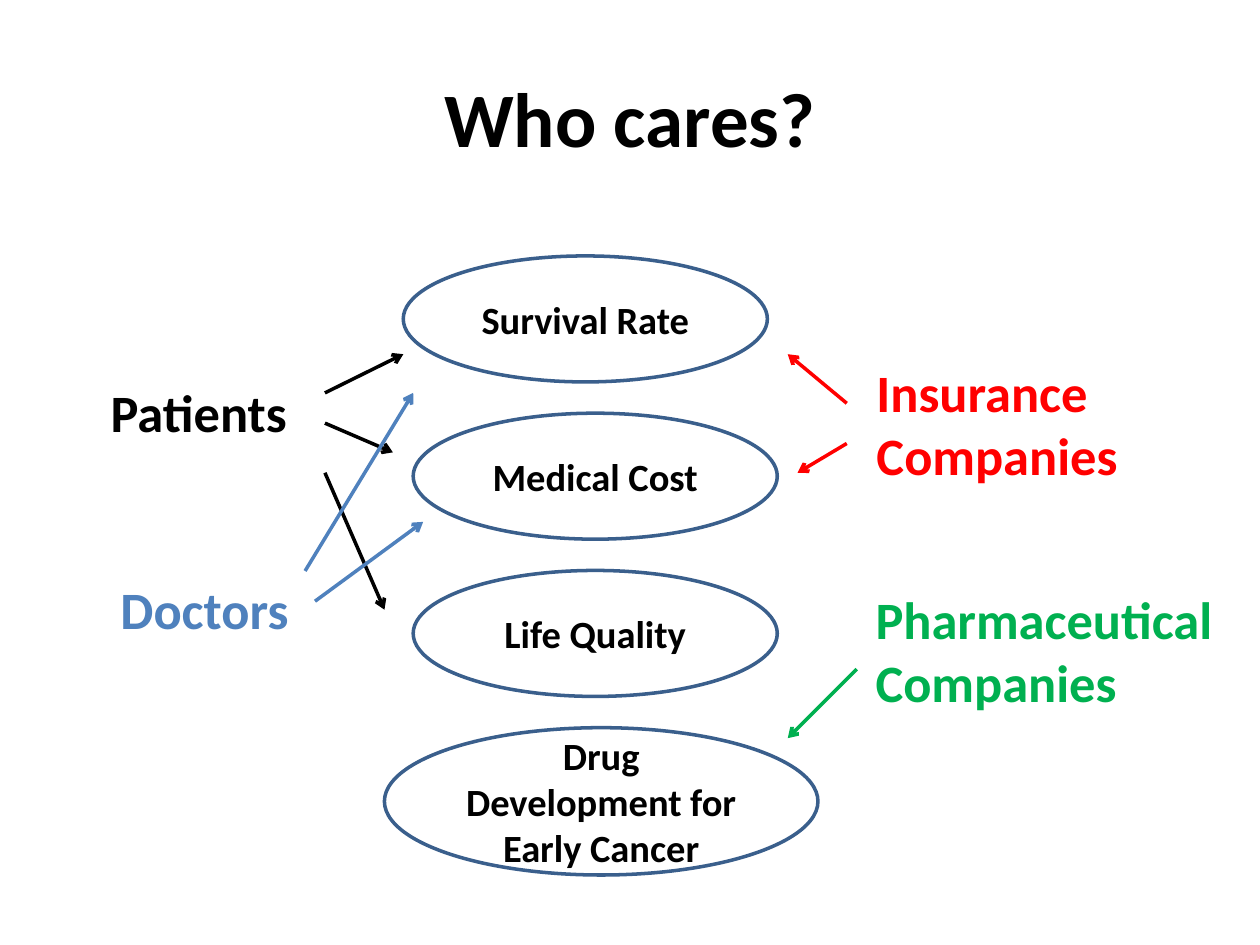
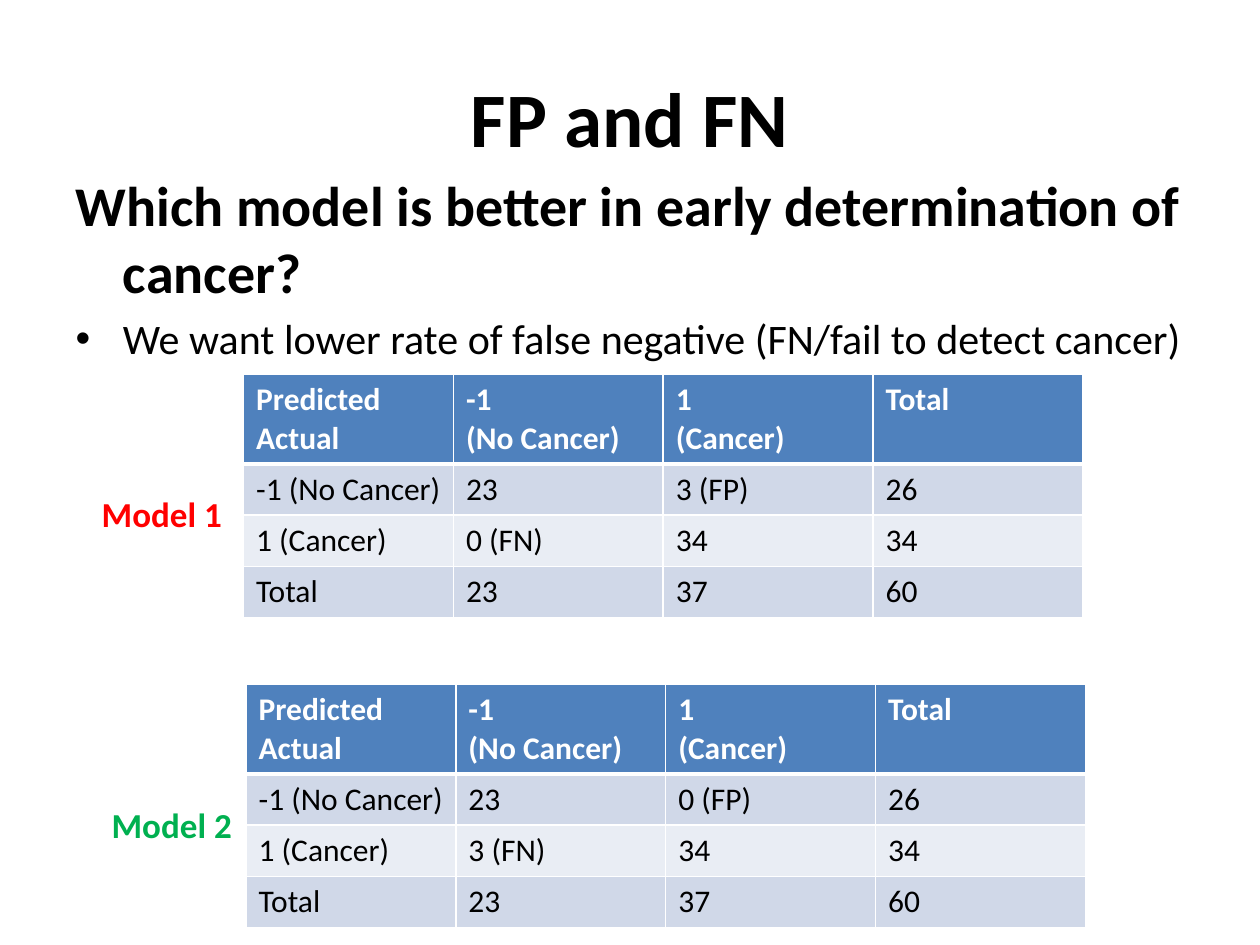
import pptx
import pptx.dml.color
import pptx.enum.shapes
import pptx.enum.text
import pptx.oxml
import pptx.oxml.ns
import pptx.util
import lxml.etree

Cm = pptx.util.Cm
Pt = pptx.util.Pt
qn = pptx.oxml.ns.qn

FONT = "Calibri"
COLORS = {
    "black": "000000",
    "white": "FFFFFF",
    "blue": "4F81BD",
    "outline": "3A5F8C",
    "red": "FF0000",
    "green": "00B050",
    "band_dark": "D0D8E8",
    "band_light": "E9EDF4",
}
TITLE_BOX = (1.27, 0.76, 22.86, 3.18)


def rgb(color):
    return pptx.dml.color.RGBColor.from_string(COLORS[color])


def write(frame, text, size=18, color="black", bold=True, align=None, append=False):
    """Write each line of text as a paragraph and return the paragraphs."""
    written = []
    for index, line in enumerate(text.split("\n")):
        fresh = append or index > 0
        paragraph = frame.add_paragraph() if fresh else frame.paragraphs[0]
        if align is not None:
            paragraph.alignment = align
        run = paragraph.add_run()
        run.text = line
        run.font.name = FONT
        run.font.size = Pt(size)
        run.font.bold = bold
        run.font.color.rgb = rgb(color)
        written.append(paragraph)
    return written


def place(placeholder, left, top, width, height):
    placeholder.left, placeholder.top = Cm(left), Cm(top)
    placeholder.width, placeholder.height = Cm(width), Cm(height)


def add_titled_slide(deck, layout_index, title):
    slide = deck.slides.add_slide(deck.slide_layouts[layout_index])
    place(slide.shapes.title, *TITLE_BOX)
    write(slide.shapes.title.text_frame, title, size=44,
          align=pptx.enum.text.PP_ALIGN.CENTER)
    return slide


def add_label(slide, text, left, top, width, height, size, color):
    label = slide.shapes.add_textbox(Cm(left), Cm(top), Cm(width), Cm(height))
    label.text_frame.word_wrap = False
    label.text_frame.auto_size = pptx.enum.text.MSO_AUTO_SIZE.SHAPE_TO_FIT_TEXT
    write(label.text_frame, text, size=size, color=color)


def add_concern(slide, text, left, top, width, height):
    concern = slide.shapes.add_shape(pptx.enum.shapes.MSO_SHAPE.OVAL,
                                     Cm(left), Cm(top), Cm(width), Cm(height))
    concern.shadow.inherit = False
    concern.fill.background()
    concern.line.color.rgb = rgb("outline")
    concern.line.width = Pt(2)
    concern.text_frame.word_wrap = True
    concern.text_frame.vertical_anchor = pptx.enum.text.MSO_ANCHOR.MIDDLE
    write(concern.text_frame, text, size=22,
          align=pptx.enum.text.PP_ALIGN.CENTER)


def add_arrow(slide, start, end, color):
    arrow = slide.shapes.add_connector(
        pptx.enum.shapes.MSO_CONNECTOR.STRAIGHT,
        *(Cm(value) for value in start + end))
    arrow.line.color.rgb = rgb(color)
    arrow.line.width = Pt(2)
    outline = arrow.line._get_or_add_ln()
    lxml.etree.SubElement(outline, qn("a:tailEnd"), type="arrow")
    lxml.etree.SubElement(outline.getparent(), qn("a:effectLst"))


def set_borders(cell, bottom):
    properties = cell._tc.get_or_add_tcPr()
    widths = {"a:lnL": 1, "a:lnR": 1, "a:lnT": 1, "a:lnB": bottom}
    for side, width in widths.items():
        border = lxml.etree.SubElement(properties, qn(side), w=str(Pt(width)))
        fill = lxml.etree.SubElement(border, qn("a:solidFill"))
        lxml.etree.SubElement(fill, qn("a:srgbClr"), val=COLORS["white"])


def add_confusion_table(slide, rows, left, top):
    column_width, header_height, row_height = 4.23, 1.78, 1.03
    table = slide.shapes.add_table(
        len(rows), len(rows[0]), Cm(left), Cm(top),
        Cm(column_width * len(rows[0])),
        Cm(header_height + row_height * (len(rows) - 1))).table
    for column in table.columns:
        column.width = Cm(column_width)
    for row_index, values in enumerate(rows):
        header = row_index == 0
        band = "band_dark" if row_index % 2 else "band_light"
        table.rows[row_index].height = Cm(header_height if header else row_height)
        for column_index, value in enumerate(values):
            cell = table.cell(row_index, column_index)
            set_borders(cell, bottom=3 if header else 1)
            cell.fill.solid()
            cell.fill.fore_color.rgb = rgb("blue" if header else band)
            write(cell.text_frame, value, bold=header,
                  color="white" if header else "black")


def confusion_rows(false_positives, false_negatives):
    return [
        ["Predicted\nActual", "-1\n(No Cancer)", "1\n(Cancer)", "Total"],
        ["-1 (No Cancer)", "23", f"{false_positives} (FP)", "26"],
        ["1 (Cancer)", f"{false_negatives} (FN)", "34", "34"],
        ["Total", "23", "37", "60"],
    ]


def build_who_cares(deck):
    slide = add_titled_slide(deck, 5, "Who cares?")

    # Concerns, stacked at an equal step
    concerns = [
        ("Survival Rate", 8.13, 7.34, 2.54),
        ("Medical Cost", 8.33, 7.34, 2.54),
        ("Life Quality", 8.33, 7.34, 2.54),
        ("Drug Development for Early Cancer", 7.75, 8.74, 2.97),
    ]
    for index, (text, left, width, height) in enumerate(concerns):
        add_concern(slide, text, left, 5.16 + 3.17 * index, width, height)

    # Interested groups: label, place, colour, arrows to their concerns
    groups = [
        ("Patients", (1.98, 7.54, 4.11, 1.55), "black",
         [((6.55, 7.92), (8.13, 7.14)),
          ((6.55, 8.53), (7.92, 9.12)),
          ((6.55, 9.53), (7.75, 12.29))]),
        ("Doctors", (2.18, 11.51, 3.94, 1.55), "blue",
         [((6.15, 11.51), (8.33, 7.92)),
          ((6.35, 12.12), (8.53, 10.52))]),
        ("Insurance\nCompanies", (17.42, 7.14, 5.44, 2.82), "red",
         [((17.07, 8.13), (15.88, 7.14)),
          ((17.07, 8.94), (16.08, 9.53))]),
        ("Pharmaceutical\nCompanies", (17.4, 11.71, 7.37, 2.82), "green",
         [((17.27, 13.49), (15.88, 14.88))]),
    ]
    for text, box, color, arrows in groups:
        add_label(slide, text, *box, size=30, color=color)
        for start, end in arrows:
            add_arrow(slide, start, end, color)


def build_fp_and_fn(deck):
    slide = add_titled_slide(deck, 1, "FP and FN")

    # Question and answer
    body = slide.placeholders[1]
    place(body, 1.27, 3.3, 22.86, 12.57)
    question = write(body.text_frame, size=32,
                     text="Which model is better in early determination of cancer?")[0]
    lxml.etree.SubElement(question._p.get_or_add_pPr(), qn("a:buNone"))
    write(body.text_frame, size=24, bold=False, append=True,
          text="We want lower rate of false negative (FN/fail to detect cancer)")

    # Confusion tables with their labels
    add_confusion_table(slide, confusion_rows(3, 0), 4.91, 7.55)
    add_confusion_table(slide, confusion_rows(0, 3), 4.96, 13.8)
    add_label(slide, "Model 1", 1.8, 9.8, 2.95, 1.12, size=20, color="red")
    add_label(slide, "Model 2", 2.0, 16.08, 2.95, 1.12, size=20, color="green")


def main():
    deck = pptx.Presentation()
    deck.slide_width, deck.slide_height = Cm(25.4), Cm(19.05)
    build_who_cares(deck)
    build_fp_and_fn(deck)
    deck.save("out.pptx")


if __name__ == "__main__":
    main()
